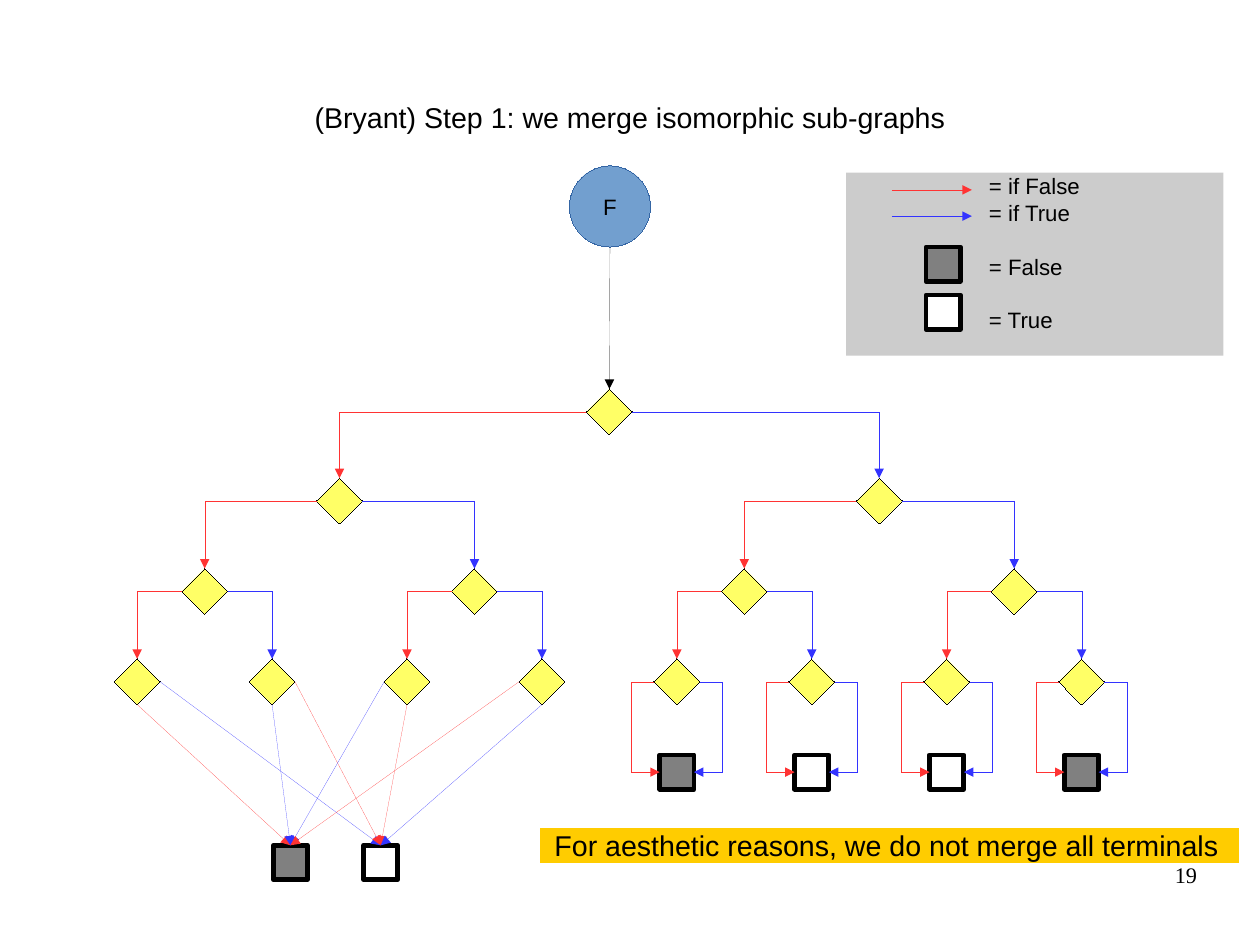
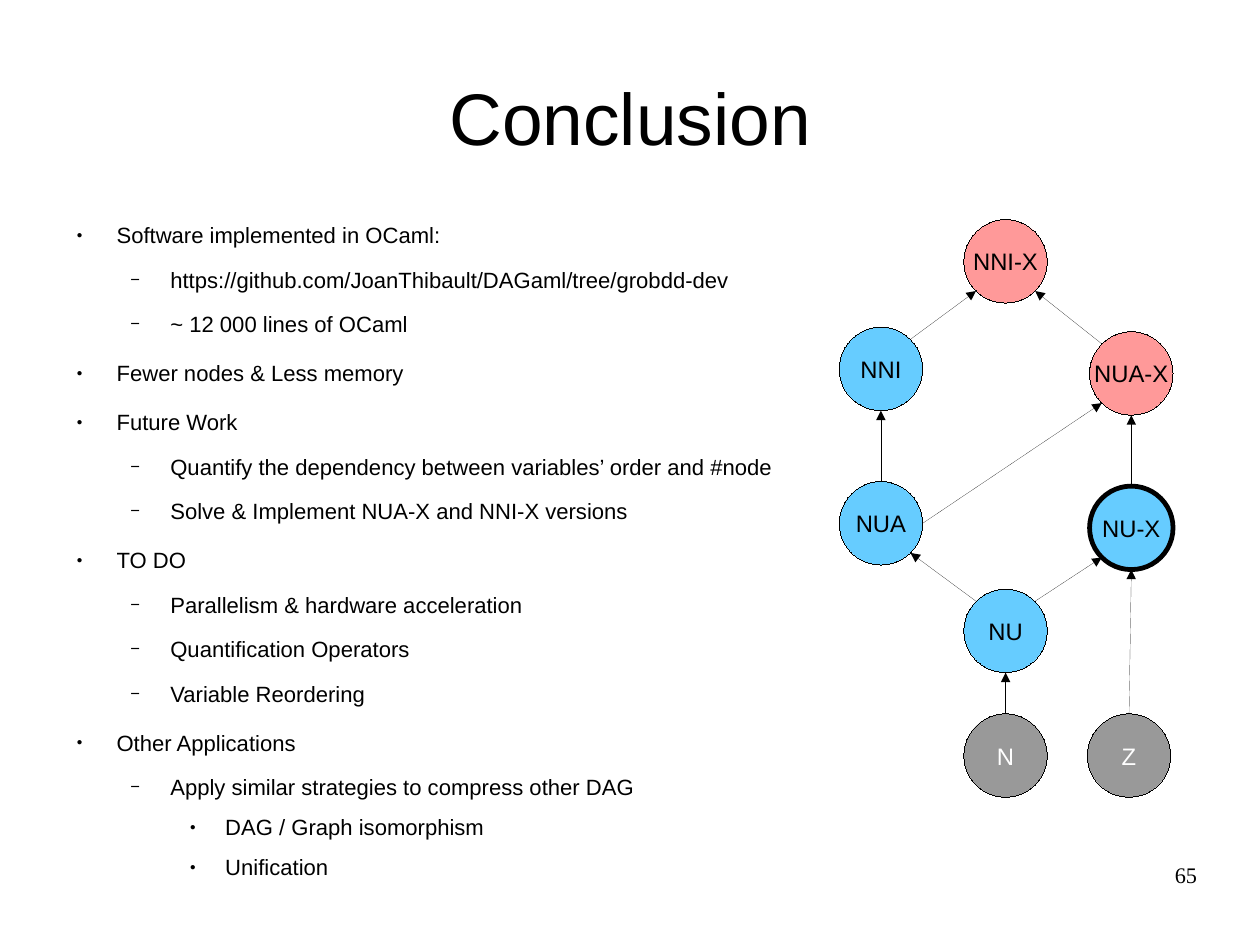
"""Build two slides: a merged decision tree and a conclusion with a model graph."""
from dataclasses import dataclass
from typing import Any, NamedTuple

from lxml import etree
from pptx import Presentation
from pptx.dml.color import RGBColor
from pptx.enum.shapes import MSO_CONNECTOR, MSO_SHAPE
from pptx.enum.text import MSO_ANCHOR, MSO_AUTO_SIZE, PP_ALIGN
from pptx.oxml.ns import qn
from pptx.util import Inches, Pt

RECTANGLE, OVAL, DIAMOND = MSO_SHAPE.RECTANGLE, MSO_SHAPE.OVAL, MSO_SHAPE.DIAMOND
STRAIGHT, ELBOW = MSO_CONNECTOR.STRAIGHT, MSO_CONNECTOR.ELBOW
TOP, MIDDLE = MSO_ANCHOR.TOP, MSO_ANCHOR.MIDDLE
LEFT, CENTER, RIGHT = PP_ALIGN.LEFT, PP_ALIGN.CENTER, PP_ALIGN.RIGHT
NO_AUTOSIZE = MSO_AUTO_SIZE.NONE

SANS, SERIF = "Arial", "Times New Roman"
BLACK, WHITE, PANEL, BANNER = "000000", "FFFFFF", "CCCCCC", "FFCC00"
IF_FALSE, IF_TRUE = "FF3333", "3333FF"
FALSE_FILL, TRUE_FILL, NODE_FILL = "808080", WHITE, "FFFF66"
ROOT_FILL, ROOT_LINE = "729FCF", "3465A4"
DONE, PLANNED, BASE = "66CCFF", "FF9999", "999999"
HAIRLINE, THICK = 0.01, 3

GLUE_SITES = ("top", "left", "bottom", "right")
DIRECTIONS = {
    "top": (0, -1), "left": (-1, 0), "bottom": (0, 1), "right": (1, 0),
    "top left": (-0.71, -0.71), "top right": (0.71, -0.71),
    "bottom left": (-0.71, 0.71), "bottom right": (0.71, 0.71),
}

ROW_CENTERS = (3.6, 4.38, 5.17, 5.96)
LEAF_LEFT, LEAF_STEP, LEAF_COUNT = 1.2, 1.18, 8
NODE_SIZE, TERMINAL_SIZE = 0.4, 0.3
CIRCLE_SIZE = 0.73


class Box(NamedTuple):
    """Place and size in inches."""
    left: float
    top: float
    width: float
    height: float


class Link(NamedTuple):
    """An arrow between the named sites of two shapes."""
    start: Any
    start_site: str
    end: Any
    end_site: str
    color: str = BLACK


class Bullet(NamedTuple):
    """One level of the outline."""
    mark: str
    percent: int
    left: float
    hanging: float
    before: float


@dataclass
class Look:
    """Fill, outline and text of a shape."""
    fill: str
    line: str | None = BLACK
    weight: float = HAIRLINE


@dataclass
class Model:
    """A circle of the model graph."""
    name: str
    left: float
    top: float
    fill: str
    text: str = BLACK
    weight: float = HAIRLINE


BULLETS = (
    Bullet("●", 45, 0.47, 0.35, 14.2),
    Bullet("−", 75, 0.94, 0.35, 11.3),
    Bullet("●", 45, 1.42, 0.31, 8.5),
)
OUTLINE = (
    (0, "Software implemented in OCaml:"),
    (1, "https://github.com/JoanThibault/DAGaml/tree/grobdd-dev"),
    (1, "~ 12 000 lines of OCaml"),
    (0, "Fewer nodes & Less memory"),
    (0, "Future Work"),
    (1, "Quantify the dependency between variables’ order and #node"),
    (1, "Solve & Implement NUA-X and NNI-X versions"),
    (0, "TO DO"),
    (1, "Parallelism & hardware acceleration"),
    (1, "Quantification Operators"),
    (1, "Variable Reordering"),
    (0, "Other Applications"),
    (1, "Apply similar strategies to compress other DAG"),
    (2, "DAG / Graph isomorphism"),
    (2, "Unification"),
)
MODELS = (
    Model("N", 8.43, 6.24, BASE, WHITE),
    Model("NU", 8.43, 5.15, DONE),
    Model("NUA", 7.34, 4.21, DONE),
    Model("NNI", 7.34, 2.86, DONE),
    Model("NNI-X", 8.43, 1.92, PLANNED),
    Model("NUA-X", 9.53, 2.9, PLANNED),
    Model("NU-X", 9.53, 4.25, DONE, weight=THICK),
    Model("Z", 9.51, 6.24, BASE, WHITE),
)
MODEL_LINKS = (
    ("N", "top", "NU", "bottom"),
    ("NU", "top left", "NUA", "bottom right"),
    ("NU", "top right", "NU-X", "bottom left"),
    ("NUA", "top", "NNI", "bottom"),
    ("NU-X", "top", "NUA-X", "bottom"),
    ("NNI", "top right", "NNI-X", "bottom left"),
    ("NUA-X", "top left", "NNI-X", "bottom right"),
    ("NUA", "right", "NUA-X", "bottom left"),
    ("Z", "top", "NU-X", "bottom"),
)
SHARED_LINKS = (
    (0, "bottom", False, IF_FALSE), (0, "right", True, IF_TRUE),
    (1, "bottom", False, IF_TRUE), (1, "right", True, IF_FALSE),
    (2, "bottom", True, IF_FALSE), (2, "left", False, IF_TRUE),
    (3, "bottom", True, IF_TRUE), (3, "left", False, IF_FALSE),
)
OWN_TERMINALS = (False, True, True, False)


def rgb(value: str) -> RGBColor:
    """Turn a hex string into a colour."""
    return RGBColor.from_string(value)


def assign(target: Any, values: dict[str, Any]) -> None:
    """Set each named attribute of the target."""
    for name, value in values.items():
        setattr(target, name, value)


def place(box: Box) -> tuple:
    """Give the box as lengths."""
    return tuple(Inches(length) for length in box)


def around(x: float, y: float, size: float) -> Box:
    """Give the square box centred on a point."""
    return Box(x - size / 2, y - size / 2, size, size)


def set_frame(frame: Any, anchor: Any = TOP, wrap: bool = True, left: float = 0) -> None:
    """Format a text frame without insets except at the left."""
    assign(frame, {
        "auto_size": NO_AUTOSIZE, "word_wrap": wrap, "vertical_anchor": anchor,
        "margin_left": Inches(left), "margin_right": 0, "margin_top": 0, "margin_bottom": 0,
    })


def write(para: Any, text: str, size: float, align: Any = LEFT,
          color: str = BLACK, font: str = SANS) -> None:
    """Write one formatted run into a paragraph."""
    para.alignment = align
    span = para.add_run()
    span.text = text
    assign(span.font, {"name": font, "size": Pt(size), "bold": False})
    span.font.color.rgb = rgb(color)


def draw_shape(page: Any, kind: Any, box: Box, look: Look) -> Any:
    """Draw a filled preset shape."""
    shape = page.shapes.add_shape(kind, *place(box))
    shape.shadow.inherit = False
    shape.fill.solid()
    shape.fill.fore_color.rgb = rgb(look.fill)
    if look.line is None:
        shape.line.fill.background()
    else:
        shape.line.color.rgb = rgb(look.line)
        shape.line.width = Pt(look.weight)
    return shape


def draw_circle(page: Any, box: Box, look: Look, text: str, size: float, color: str = BLACK) -> Any:
    """Draw a labelled circle."""
    circle = draw_shape(page, OVAL, box, look)
    set_frame(circle.text_frame, MIDDLE, wrap=False)
    write(circle.text_frame.paragraphs[0], text, size, CENTER, color)
    return circle


def draw_terminal(page: Any, x: float, y: float, value: bool) -> Any:
    """Draw a True or False square."""
    look = Look(TRUE_FILL if value else FALSE_FILL, weight=THICK)
    return draw_shape(page, RECTANGLE, around(x, y, TERMINAL_SIZE), look)


def draw_arrow(page: Any, start: tuple, end: tuple, color: str, kind: Any = STRAIGHT) -> Any:
    """Draw a hairline arrow between two points."""
    arrow = page.shapes.add_connector(kind, *start, *end)
    arrow.line.color.rgb = rgb(color)
    arrow.line.width = Pt(HAIRLINE)
    properties = arrow.element.spPr
    etree.SubElement(properties.find(qn("a:ln")), qn("a:tailEnd"), type="triangle")
    etree.SubElement(properties, qn("a:effectLst"))
    return arrow


def site_point(shape: Any, site: str) -> tuple[int, int]:
    """Find the point of a named site on a shape."""
    across, down = DIRECTIONS[site]
    return (int(shape.left + shape.width * (1 + across) / 2),
            int(shape.top + shape.height * (1 + down) / 2))


def draw_link(page: Any, link: Link, kind: Any = STRAIGHT) -> Any:
    """Draw an arrow between two shapes, attached where the sites allow."""
    arrow = draw_arrow(page, site_point(link.start, link.start_site),
                       site_point(link.end, link.end_site), link.color, kind)
    if link.start.auto_shape_type != OVAL:
        arrow.begin_connect(link.start, GLUE_SITES.index(link.start_site))
    if link.end.auto_shape_type != OVAL:
        arrow.end_connect(link.end, GLUE_SITES.index(link.end_site))
    return arrow


def draw_corner(page: Any, link: Link) -> None:
    """Draw an arrow that turns once."""
    geometry = draw_link(page, link, ELBOW).element.spPr.find(qn("a:prstGeom"))
    geometry.set("prst", "bentConnector2")


def draw_detour(page: Any, link: Link) -> None:
    """Draw an arrow that leaves and returns on the same side."""
    geometry = draw_link(page, link, ELBOW).element.spPr.find(qn("a:prstGeom"))
    etree.SubElement(geometry.find(qn("a:avLst")), qn("a:gd"), name="adj1", fmla="val -400000")


def add_page(deck: Any, title: str, size: float, number: str) -> Any:
    """Add a slide with its title and number."""
    page = deck.slides.add_slide(deck.slide_layouts[5])
    heading = page.shapes.title
    assign(heading, dict(zip(Box._fields, place(Box(0.55, 0.33, 9.92, 1.38)))))
    set_frame(heading.text_frame, MIDDLE)
    write(heading.text_frame.paragraphs[0], title, size, CENTER)
    footer = page.shapes.add_textbox(*place(Box(7.9, 7.53, 2.57, 0.57)))
    set_frame(footer.text_frame)
    write(footer.text_frame.paragraphs[0], number, 14, RIGHT, font=SERIF)
    return page


def draw_legend(page: Any) -> None:
    """Draw the key to arrows and terminals."""
    panel = draw_shape(page, RECTANGLE, Box(7.4, 1.51, 3.3, 1.6), Look(PANEL, None))
    set_frame(panel.text_frame, left=1.25)
    for index, label in enumerate(("= if False", "= if True", "= False", "= True")):
        para = panel.text_frame.paragraphs[0] if index == 0 else panel.text_frame.add_paragraph()
        para.space_before = Pt(16.8 if index > 1 else 0)
        write(para, label, 14)
    for y, color in ((1.66, IF_FALSE), (1.89, IF_TRUE)):
        draw_arrow(page, (Inches(7.8), Inches(y)), (Inches(8.5), Inches(y)), color)
    for y, value in ((2.31, False), (2.73, True)):
        draw_terminal(page, 8.25, y, value)


def draw_tree(page: Any) -> None:
    """Draw the decision tree from its leaves up to the root."""
    columns = [LEAF_LEFT + LEAF_STEP * index for index in range(LEAF_COUNT)]
    leaves, children = [], []
    for y in reversed(ROW_CENTERS):
        nodes = [draw_shape(page, DIAMOND, around(x, y, NODE_SIZE), Look(NODE_FILL)) for x in columns]
        leaves = leaves or nodes
        for index, child in enumerate(children):
            side, color = (("left", IF_FALSE), ("right", IF_TRUE))[index % 2]
            draw_corner(page, Link(nodes[index // 2], side, child, "top", color))
        children = nodes
        columns = [(low + high) / 2 for low, high in zip(columns[::2], columns[1::2])]
    function = draw_circle(page, Box(4.98, 1.45, 0.71, 0.71), Look(ROOT_FILL, ROOT_LINE), "F", 14)
    draw_link(page, Link(function, "bottom", children[0], "top"))

    shared = {value: draw_terminal(page, x, 7.54, value) for x, value in ((2.54, False), (3.33, True))}
    for leaf, site, value, color in SHARED_LINKS:
        draw_link(page, Link(leaves[leaf], site, shared[value], "top", color))
    for index, value in enumerate(OWN_TERMINALS, start=LEAF_COUNT // 2):
        terminal = draw_terminal(page, LEAF_LEFT + LEAF_STEP * index, 6.75, value)
        for side, color in (("left", IF_FALSE), ("right", IF_TRUE)):
            draw_detour(page, Link(leaves[index], side, terminal, side, color))


def add_outline(page: Any) -> None:
    """Add the bulleted text."""
    frame = page.shapes.add_textbox(*place(Box(0.55, 1.94, 6.7, 5.9))).text_frame
    set_frame(frame)
    for index, (level, text) in enumerate(OUTLINE):
        para = frame.paragraphs[0] if index == 0 else frame.add_paragraph()
        bullet = BULLETS[level]
        assign(para, {"level": level, "space_before": Pt(bullet.before if index else 0)})
        properties = para._p.get_or_add_pPr()
        properties.set("marL", str(Inches(bullet.left)))
        properties.set("indent", str(-Inches(bullet.hanging)))
        tint = etree.SubElement(properties, qn("a:buClr"))
        etree.SubElement(tint, qn("a:srgbClr"), val=BLACK)
        etree.SubElement(properties, qn("a:buSzPct"), val=str(bullet.percent * 1000))
        etree.SubElement(properties, qn("a:buFont"), typeface=SANS)
        etree.SubElement(properties, qn("a:buChar"), char=bullet.mark)
        write(para, text, 13.9)


def draw_models(page: Any) -> None:
    """Draw the graph of models."""
    circles = {
        model.name: draw_circle(page, Box(model.left, model.top, CIRCLE_SIZE, CIRCLE_SIZE),
                                Look(model.fill, weight=model.weight), model.name, 15, model.text)
        for model in MODELS
    }
    for start, start_site, end, end_site in MODEL_LINKS:
        draw_link(page, Link(circles[start], start_site, circles[end], end_site))


def main() -> None:
    """Build and save the deck."""
    deck = Presentation()
    assign(deck, {"slide_width": Inches(11.02), "slide_height": Inches(8.27)})
    page = add_page(deck, "(Bryant) Step 1: we merge isomorphic sub-graphs", 18, "19")
    draw_legend(page)
    draw_tree(page)
    banner = draw_shape(page, RECTANGLE, Box(4.73, 7.24, 6.1, 0.3), Look(BANNER, BANNER))
    set_frame(banner.text_frame, MIDDLE, left=0.12)
    write(banner.text_frame.paragraphs[0], "For aesthetic reasons, we do not merge all terminals", 18)
    page = add_page(deck, "Conclusion", 46, "65")
    add_outline(page)
    draw_models(page)
    deck.save("out.pptx")


if __name__ == "__main__":
    main()
